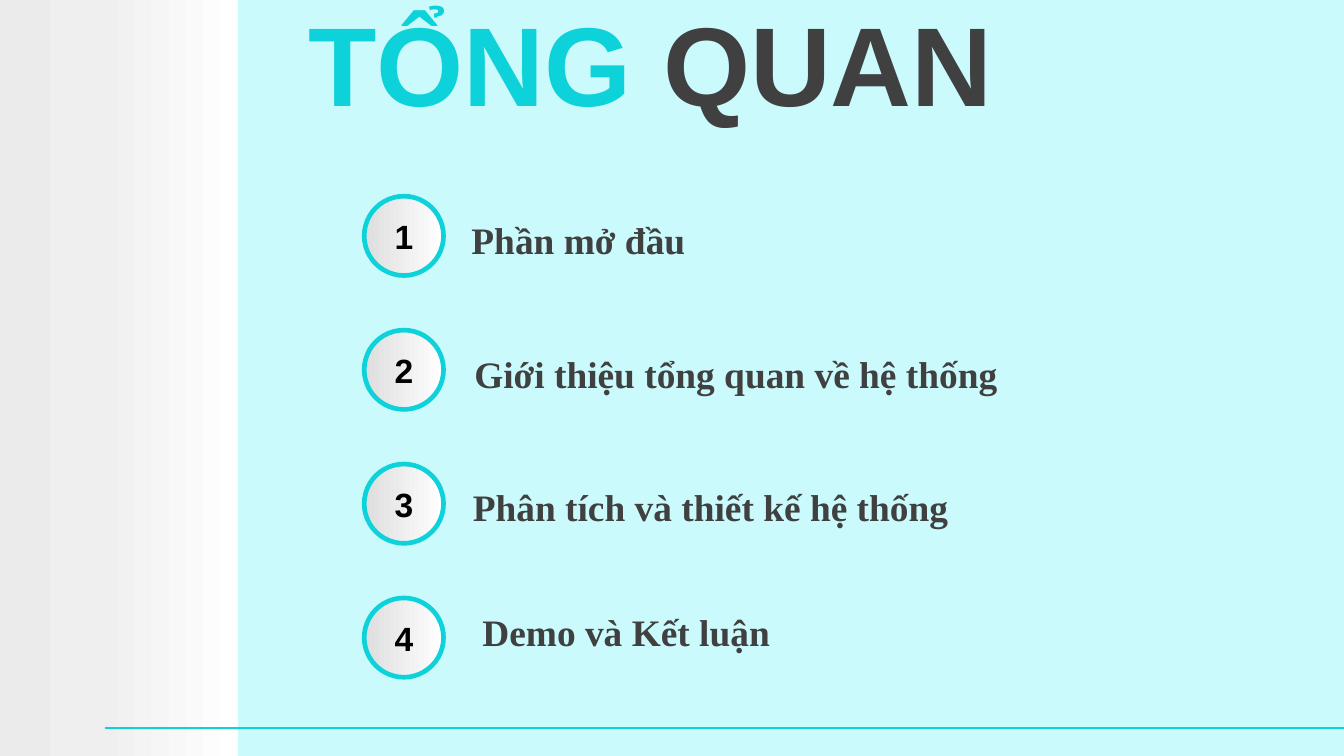
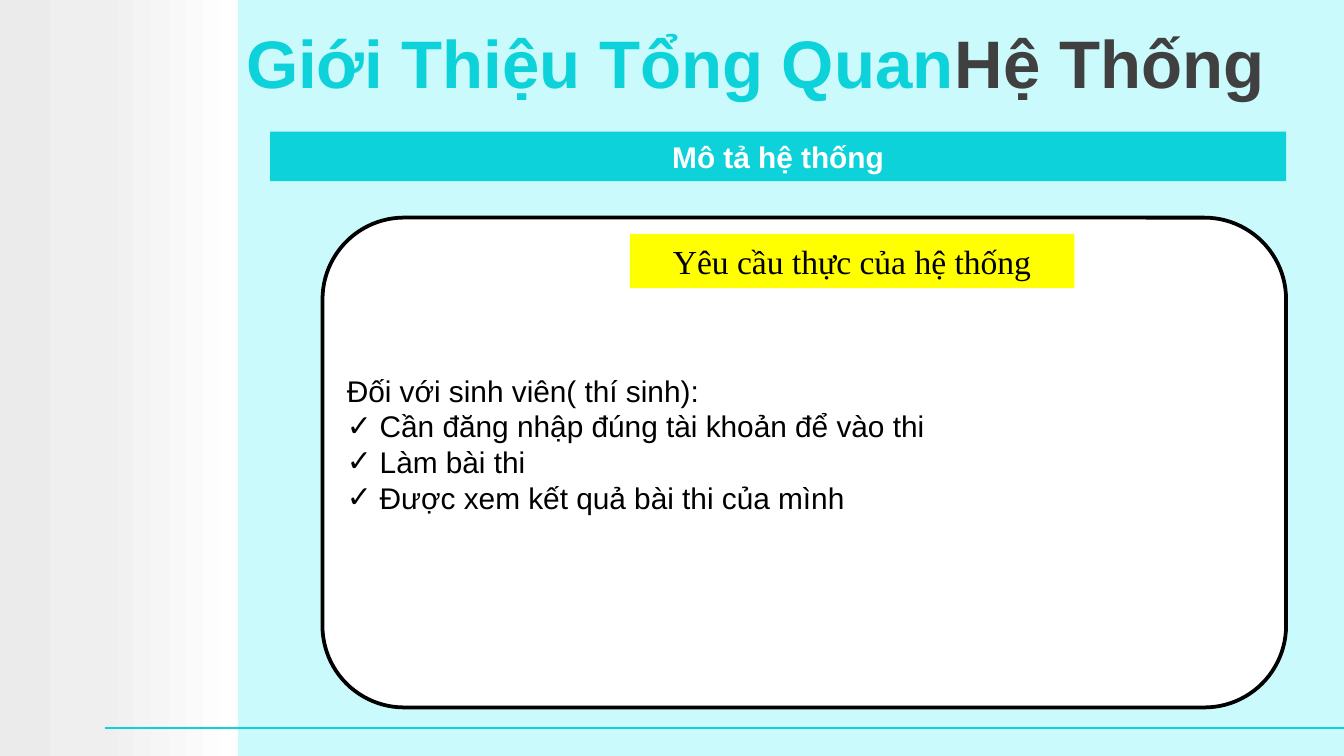
"""Builds two slides: the agenda and the overview of an online exam system."""
from dataclasses import dataclass

from lxml.etree import SubElement
from pptx import Presentation
from pptx.dml.color import RGBColor
from pptx.enum.shapes import MSO_CONNECTOR, MSO_SHAPE
from pptx.enum.text import MSO_ANCHOR, MSO_AUTO_SIZE, PP_ALIGN
from pptx.oxml.ns import qn
from pptx.util import Pt


@dataclass(frozen=True)
class Theme:
    sans: str = "Arial"
    serif: str = "Times New Roman"
    accent: str = "0DD2D9"
    background: str = "CAFAFC"
    dark: str = "404040"
    black: str = "000000"
    white: str = "FFFFFF"
    highlight: str = "FFFF00"
    band_stops: tuple = ((0, "EBEBEB"), (42, "EFEFEF"), (100, "FFFFFF"))
    badge_stops: tuple = ((0, "DEDEDE"), (100, "FFFFFF"))
    cover_title: int = 60
    title: int = 36
    item: int = 20
    label: int = 18
    text: int = 16


theme = Theme()


def format_runs(paragraph, size, color, font=theme.sans, bold=False, align=PP_ALIGN.LEFT):
    paragraph.alignment = align
    for run in paragraph.runs:
        run.font.size = Pt(size)
        run.font.name = font
        run.font.bold = bold
        run.font.color.rgb = RGBColor.from_string(color)


def fill_gradient(shape, stops):
    shape.fill.gradient()
    shape.fill.gradient_angle = 0
    stop_list = shape._element.spPr.find(".//" + qn("a:gsLst"))
    stop_list.clear()
    for percent, color in stops:
        stop = SubElement(stop_list, qn("a:gs"), pos=str(percent * 1000))
        SubElement(stop, qn("a:srgbClr"), val=color)


prs = Presentation()
prs.slide_width, prs.slide_height = Pt(720), Pt(405)
master = prs.slide_master
master.background.fill.solid()
master.background.fill.fore_color.rgb = RGBColor.from_string(theme.background)

master_title = master.placeholders[0]
master_title.left, master_title.top = Pt(124.6), Pt(2.2)
master_title.width, master_title.height = Pt(595.4), Pt(61.2)
master_title.text_frame.vertical_anchor = MSO_ANCHOR.MIDDLE
master_title.text_frame.auto_size = MSO_AUTO_SIZE.NONE

agenda = prs.slides.add_slide(prs.slide_layouts[5])
overview = prs.slides.add_slide(prs.slide_layouts[1])

side_band = agenda.shapes.add_shape(MSO_SHAPE.RECTANGLE, 0, 0, Pt(127.4), Pt(405))
fill_gradient(side_band, theme.band_stops)
side_band.line.fill.background()
side_band.shadow.inherit = False

footer_rule = agenda.shapes.add_connector(
    MSO_CONNECTOR.STRAIGHT, Pt(56.2), Pt(390), Pt(720), Pt(390))
footer_rule.line.color.rgb = RGBColor.from_string(theme.accent)
footer_rule.line.width = Pt(1)
SubElement(footer_rule._element.spPr, qn("a:effectLst"))

for position, decoration in enumerate((side_band, footer_rule)):
    decoration._element.xpath(".//p:cNvPr")[0].set("id", str(20 + position))
    master.shapes._spTree.insert(2 + position, decoration._element)

for slide, size, parts in (
    (agenda, theme.cover_title, ("TỔNG ", "QUAN")),
    (overview, theme.title, ("Giới Thiệu Tổng Quan", "Hệ Thống")),
):
    heading = slide.shapes.title.text_frame.paragraphs[0]
    for part in parts:
        heading.add_run().text = part
    format_runs(heading, size, theme.accent, bold=True)
    heading.runs[1].font.color.rgb = RGBColor.from_string(theme.dark)
agenda.shapes.title.text_frame.margin_left = Pt(40.6)

agenda_items = (
    ("Phần mở đầu", 245.5, 113, 368),
    ("Giới thiệu tổng quan về hệ thống", 247, 184.3, 306),
    ("Phân tích và thiết kế hệ thống", 246.2, 255.6, 306),
    ("Demo và Kết luận", 251.3, 322.6, 306),
)
for index, (topic, left, top, width) in enumerate(agenda_items):
    badge = agenda.shapes.add_shape(
        MSO_SHAPE.OVAL, Pt(195.1), Pt(105.1 + 71.75 * index), Pt(42.5), Pt(42.5))
    fill_gradient(badge, theme.badge_stops)
    badge.line.color.rgb = RGBColor.from_string(theme.accent)
    badge.line.width = Pt(2.5)
    badge.shadow.inherit = False
    number = badge.text_frame
    number.margin_left = number.margin_right = 0
    number.text = str(index + 1)
    format_runs(number.paragraphs[0], theme.label, theme.black, bold=True, align=PP_ALIGN.CENTER)

    entry = agenda.shapes.add_textbox(Pt(left), Pt(top), Pt(width), Pt(31.5)).text_frame
    entry.word_wrap = True
    entry.text = topic
    format_runs(entry.paragraphs[0], theme.item, theme.dark, theme.serif, bold=True)

panels = (
    (MSO_SHAPE.RECTANGLE, (144.7, 70.5, 544.3, 26.6), theme.accent, None,
     "Mô tả hệ thống", (theme.text, theme.white, theme.sans, True)),
    (MSO_SHAPE.ROUNDED_RECTANGLE, (172.8, 116.6, 516.2, 262.4), theme.white, theme.black,
     "", None),
    (MSO_SHAPE.RECTANGLE, (337.5, 125.3, 238.1, 29.1), theme.highlight, None,
     "Yêu cầu thực của hệ thống", (theme.label, theme.black, theme.serif, False)),
)
for outline, box, fill, border, caption, style in panels:
    panel = overview.shapes.add_shape(outline, *map(Pt, box))
    panel.shadow.inherit = False
    panel.fill.solid()
    panel.fill.fore_color.rgb = RGBColor.from_string(fill)
    if border:
        panel.line.color.rgb = RGBColor.from_string(border)
        panel.line.width = Pt(2)
    else:
        panel.line.fill.background()
    if caption:
        panel.text_frame.text = caption
        format_runs(panel.text_frame.paragraphs[0], *style, align=PP_ALIGN.CENTER)

requirements = overview.placeholders[1]
requirements.left, requirements.top = Pt(178.6), Pt(195.8)
requirements.width, requirements.height = Pt(515.5), Pt(104.4)
overview.shapes._spTree.append(requirements._element)
requirements.text_frame.auto_size = MSO_AUTO_SIZE.NONE
requirements.text_frame.text = "\n".join((
    "Đối với sinh viên( thí sinh):",
    "Cần đăng nhập đúng tài khoản để vào thi",
    "Làm bài thi",
    "Được xem kết quả bài thi của mình",
))
for index, line in enumerate(requirements.text_frame.paragraphs):
    format_runs(line, theme.text, theme.black)
    line.space_before = Pt(0)
    properties = line._p.get_or_add_pPr()
    hanging = Pt(17.6) if index else 0
    properties.set("marL", str(hanging))
    properties.set("indent", str(-hanging))
    if index:
        SubElement(properties, qn("a:buChar"), char="✓")
    else:
        SubElement(properties, qn("a:buNone"))

prs.save("out.pptx")
